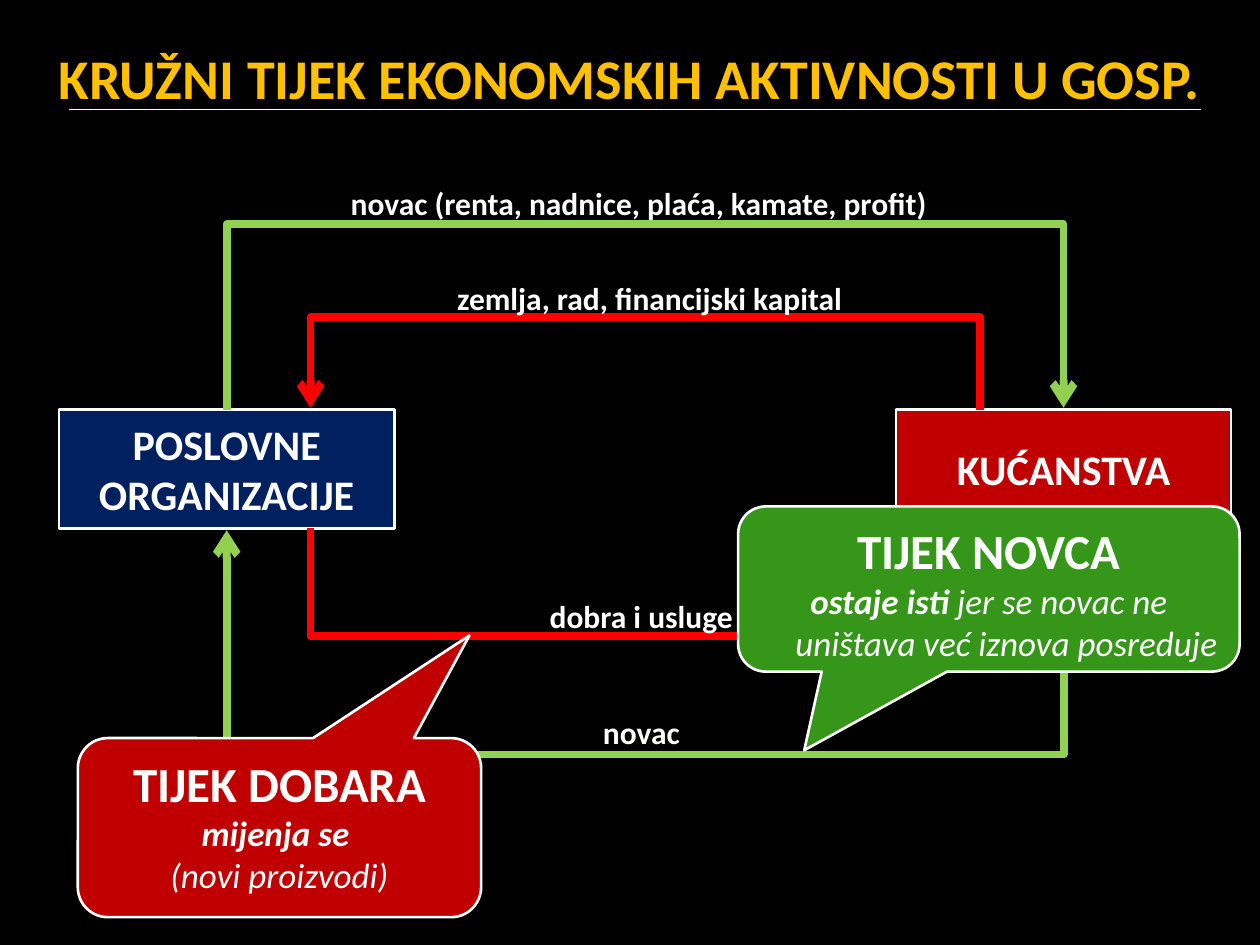
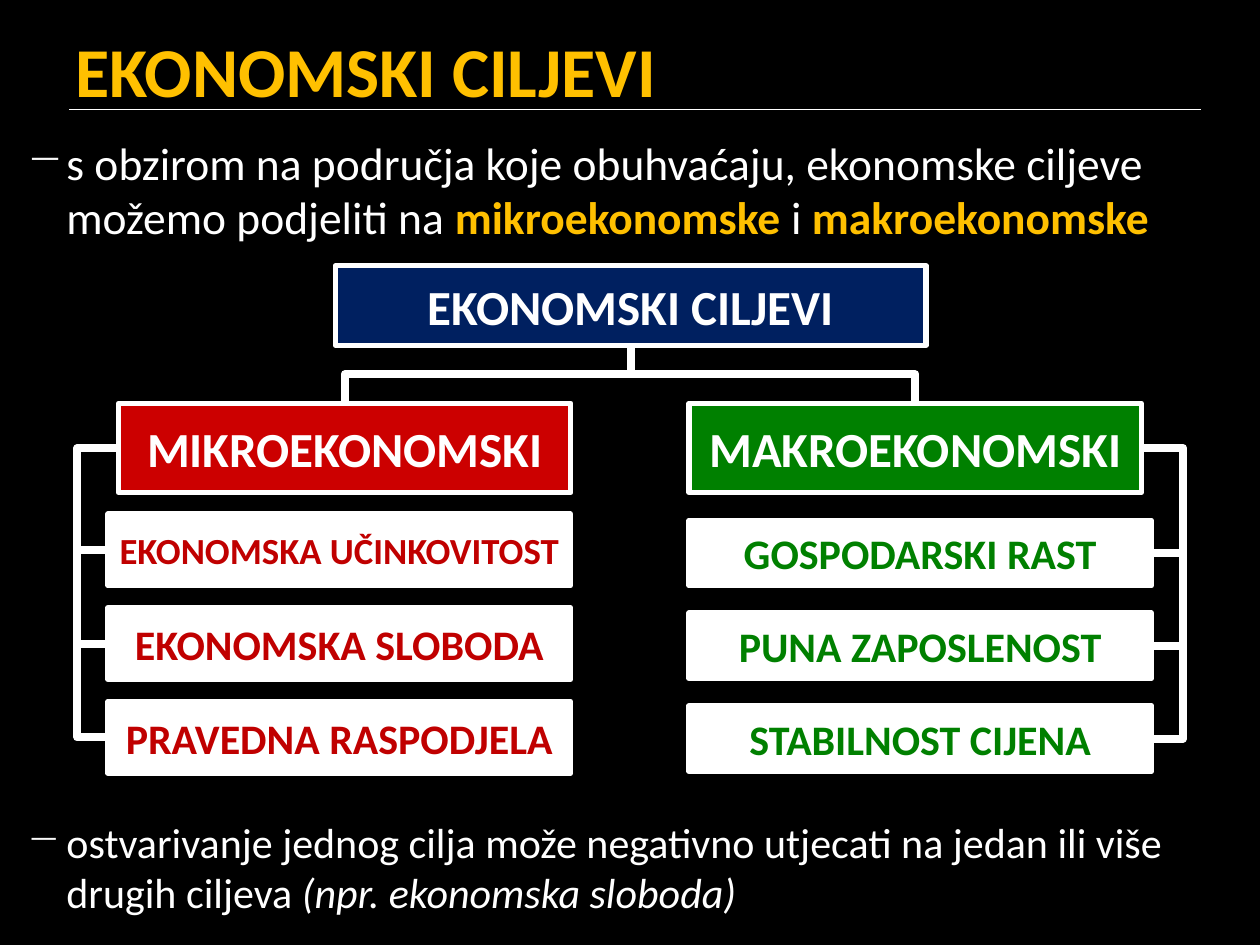
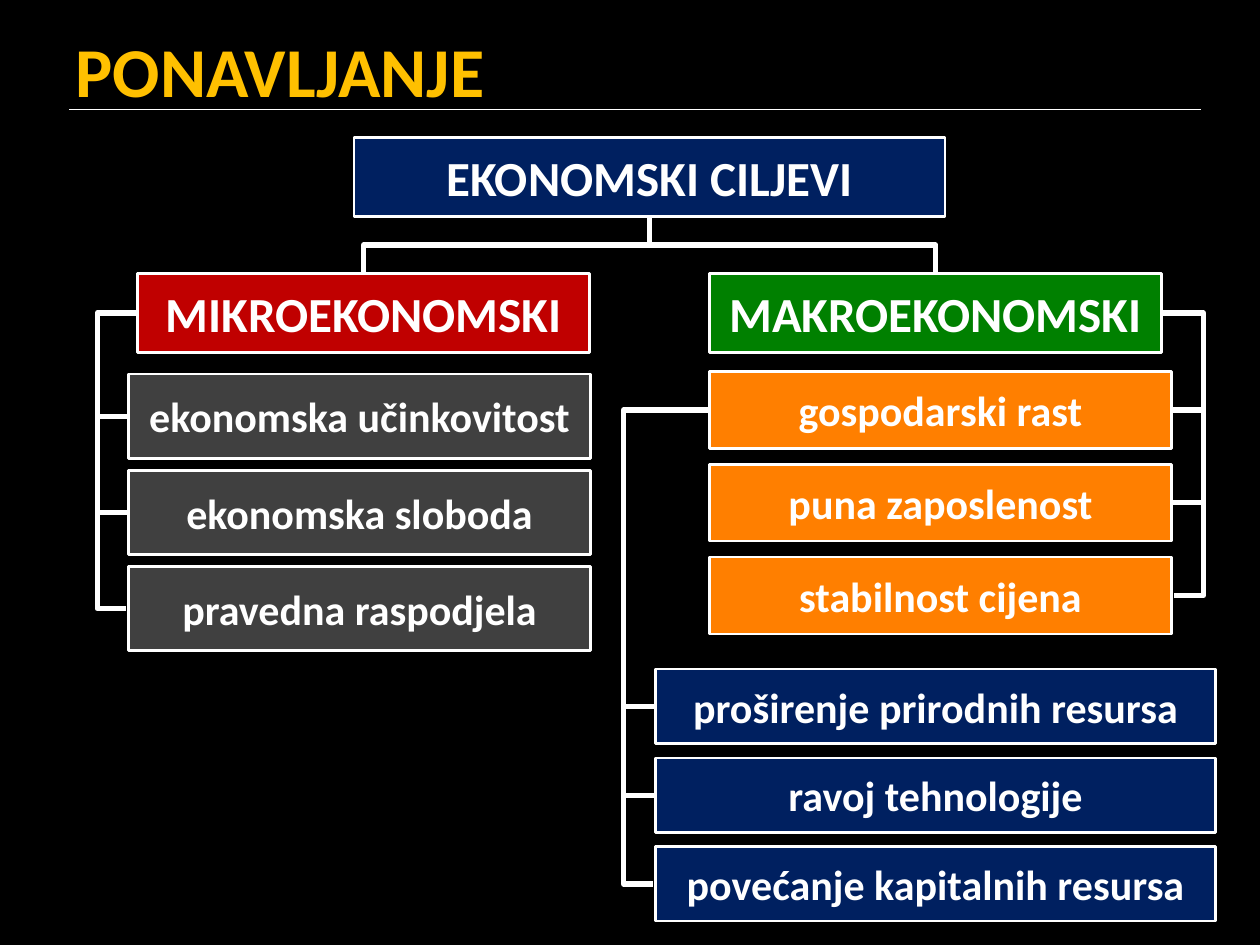
"""Build three slides on the circular flow of the economy and economic goals."""
from lxml.etree import SubElement
from pptx import Presentation
from pptx.dml.color import RGBColor
from pptx.enum.shapes import MSO_CONNECTOR, MSO_SHAPE
from pptx.enum.text import MSO_ANCHOR, MSO_AUTO_SIZE, PP_ALIGN
from pptx.oxml.ns import qn
from pptx.util import Cm, Pt

COLORS = {
    "black": "000000", "white": "FFFFFF", "gold": "FFC000", "navy": "002060",
    "red": "C00000", "bright red": "CC0000", "green": "008000",
    "leaf green": "35961A", "money": "92D050", "goods": "FF0000",
    "gray": "404040", "orange": "FF7F00", "bullet": "F9F9F9",
}
FONT = "Calibri"
TOP, LEFT, BOTTOM, RIGHT = range(4)
NUDGE = Cm(0.04)

FLOW_TITLE = "KRUŽNI TIJEK EKONOMSKIH AKTIVNOSTI U GOSP."
SECTORS = [
    ("POSLOVNE ORGANIZACIJE", (1.19, 8.26, 6.76, 2.39), "navy"),
    ("KUĆANSTVA", (18.06, 8.26, 6.76, 2.39), "red"),
]
FLOWS = [
    ("novac", (12.93, 14.76), "money", "households", BOTTOM, 0, 15.21),
    ("dobra i usluge", (12.93, 12.42), "goods", "firms", BOTTOM, 1.69, 12.83),
    ("zemlja, rad, financijski kapital", (13.1, 6.02), "goods", "households", TOP, 1.69, 6.4),
    ("novac (renta, nadnice, plaća, kamate, profit)", (12.88, 4.09), "money", "firms", TOP, 0, 4.52),
]
HEADLINE = {"size": Pt(28), "bold": True}
STRONG = {"size": Pt(20), "bold": True, "italic": True}
SOFT = {"size": Pt(20), "bold": False, "italic": True}
CALLOUTS = [
    ((1.57, 14.88, 8.13, 3.61), "red", (0.471, -1.073, 0.167),
     [[("TIJEK DOBARA", HEADLINE)], [("mijenja se ", STRONG)], [("(novi proizvodi)", SOFT)]]),
    ((14.88, 10.21, 10.11, 3.33), "leaf green", (-0.368, 0.976, 0.167),
     [[("TIJEK NOVCA", HEADLINE)],
      [("ostaje isti ", STRONG), ("jer se novac ne uništava već iznova posreduje", SOFT)]]),
]

GOALS = "EKONOMSKI CILJEVI"
MICRO = "MIKROEKONOMSKI"
MACRO = "MAKROEKONOMSKI"
KEY_TERM = {"size": Pt(26), "bold": True, "color": "gold"}
PLAIN = {"size": Pt(26)}
NOTES = [
    ((0, 2.59, 25.4, 2.39), [
        ("s obzirom na područja koje obuhvaćaju, ekonomske ciljeve možemo podjeliti na ", PLAIN),
        ("mikroekonomske", KEY_TERM), (" i ", PLAIN), ("makroekonomske", KEY_TERM)]),
    ((0, 16.33, 23.9, 2.39), [
        ("ostvarivanje jednog cilja može negativno utjecati na jedan ili više drugih ciljeva ",
         {"size": Pt(24)}),
        ("(npr. ekonomska sloboda)", {"size": Pt(24), "italic": True})]),
]
GOALS_TREE = {
    "border": 3, "link": 4.5,
    "root": (6.76, 5.36, 11.91, 1.6),
    "branches": [(MICRO, (2.39, 8.13, 9.12, 1.8), "bright red"),
                 (MACRO, (13.89, 8.13, 9.12, 1.8), "green")],
    "groups": [
        {"parent": MICRO, "side": LEFT, "bend": 1.56, "first": (2.18, 10.36, 9.32, 1.45),
         "step": 1.89, "fill": "white", "color": "red",
         "leaves": [("EKONOMSKA UČINKOVITOST", 21), ("EKONOMSKA SLOBODA", 24),
                    ("PRAVEDNA RASPODJELA", 24)]},
        {"parent": MACRO, "side": RIGHT, "bend": 23.85, "first": (13.89, 10.49, 9.32, 1.32),
         "step": 1.87, "fill": "white", "color": "green",
         "leaves": [("GOSPODARSKI RAST", 24), ("PUNA ZAPOSLENOST", 24),
                    ("STABILNOST CIJENA", 24)]},
    ],
}
REVIEW_TREE = {
    "border": 1.5, "link": 3,
    "root": (7.14, 2.77, 11.91, 1.6),
    "branches": [(MICRO, (2.77, 5.51, 9.12, 1.6), "red"),
                 (MACRO, (14.3, 5.51, 9.12, 1.6), "green")],
    "groups": [
        {"parent": MICRO, "side": LEFT, "bend": 1.96, "first": (2.59, 7.54, 9.32, 1.7),
         "step": 1.94, "fill": "gray", "color": "white",
         "leaves": [("ekonomska učinkovitost", 24), ("ekonomska sloboda", 24),
                    ("pravedna raspodjela", 24)]},
        {"parent": MACRO, "side": RIGHT, "bend": 24.26, "first": (14.3, 7.49, 9.32, 1.55),
         "step": 1.87, "fill": "orange", "color": "white",
         "leaves": [("gospodarski rast", 24), ("puna zaposlenost", 24),
                    ("stabilnost cijena", 24)]},
        {"parent": "gospodarski rast", "side": LEFT, "bend": 12.57,
         "first": (13.21, 13.49, 11.3, 1.5), "step": 1.79, "fill": "navy", "color": "white",
         "leaves": [("proširenje prirodnih resursa", 24), ("ravoj tehnologije", 24),
                    ("povećanje kapitalnih resursa", 24)]},
    ],
}


def rgb(color):
    return RGBColor.from_string(COLORS[color])


def add_run(paragraph, text, values):
    run = paragraph.add_run()
    run.text = text
    styles = {"name": FONT, "color": "white", **values}
    run.font.color.rgb = rgb(styles.pop("color"))
    for attribute, value in styles.items():
        setattr(run.font, attribute, value)


def set_frame(frame, **values):
    settings = {"word_wrap": True, "auto_size": MSO_AUTO_SIZE.NONE, **values}
    for attribute, value in settings.items():
        setattr(frame, attribute, value)


def hang(paragraph, margin, indent):
    properties = paragraph._p.get_or_add_pPr()
    properties.set("marL", str(Cm(margin)))
    properties.set("indent", str(Cm(indent)))
    return properties


def add_box(slide, area, fill, border, kind=MSO_SHAPE.RECTANGLE):
    box = slide.shapes.add_shape(kind, *map(Cm, area))
    box.shadow.inherit = False
    box.fill.solid()
    box.fill.fore_color.rgb = rgb(fill)
    box.line.color.rgb = rgb("white")
    box.line.width = Pt(border)
    return box


def add_label_box(slide, text, area, fill, border, size, color="white", inset=0.25):
    box = add_box(slide, area, fill, border)
    set_frame(box.text_frame, vertical_anchor=MSO_ANCHOR.MIDDLE,
              margin_left=Cm(inset), margin_right=Cm(inset))
    paragraph = box.text_frame.paragraphs[0]
    paragraph.alignment = PP_ALIGN.CENTER
    add_run(paragraph, text, {"size": Pt(size), "bold": True, "color": color})
    return box


def style_line(connector, color, weight):
    connector.line.color.rgb = rgb(color)
    connector.line.width = Pt(weight)
    SubElement(connector._element.spPr, qn("a:effectLst"))


def anchor(box, side, shift):
    across = {LEFT: 0, RIGHT: box.width}.get(side, box.width // 2)
    down = {TOP: 0, BOTTOM: box.height}.get(side, box.height // 2)
    return [box.left + across + Cm(shift), box.top + down]


def add_elbow(slide, start, end, bend, color, weight, arrow=False):
    """Join two (box, side, shift) anchors by an elbow whose middle part lies at bend."""
    begin, finish = anchor(*start), anchor(*end)
    vertical = start[1] in (TOP, BOTTOM)
    axis = 1 if vertical else 0
    if begin[axis] == finish[axis]:
        finish[axis] += NUDGE if bend > begin[axis] else -NUDGE
    dx, dy = finish[0] - begin[0], finish[1] - begin[1]
    width, height = (abs(dy), abs(dx)) if vertical else (abs(dx), abs(dy))
    if vertical:
        turn = 90 if (dx < 0) == (dy > 0) else 270
        flips = {"flipH": dx > 0, "flipV": dy < 0}
    else:
        turn = 0 if dx > 0 else 180
        flips = {"flipH": False, "flipV": (dx > 0) != (dy > 0)}

    elbow = slide.shapes.add_connector(MSO_CONNECTOR.ELBOW, *begin, *finish)
    for connect, (box, side, shift) in ((elbow.begin_connect, start), (elbow.end_connect, end)):
        if not shift:
            connect(box, side)
    elbow.left = (begin[0] + finish[0] - width) // 2
    elbow.top = (begin[1] + finish[1] - height) // 2
    elbow.width, elbow.height = width, height
    frame = elbow._element.spPr.find(qn("a:xfrm"))
    frame.set("rot", str(turn * 60000))
    for flip, active in flips.items():
        frame.set(flip, str(int(active)))
    ratio = (bend - begin[axis]) / (finish[axis] - begin[axis])
    guides = elbow._element.spPr.find(qn("a:prstGeom")).find(qn("a:avLst"))
    SubElement(guides, qn("a:gd"), name="adj1", fmla=f"val {round(ratio * 100000)}")
    style_line(elbow, color, weight)
    if arrow:
        SubElement(elbow.line._get_or_add_ln(), qn("a:tailEnd"), type="arrow")


def add_slide(deck, heading, area=(1.27, 0.2, 23.34, 2.41), size=40,
              align=PP_ALIGN.LEFT, place=MSO_ANCHOR.MIDDLE):
    slide = deck.slides.add_slide(deck.slide_layouts[5])
    title = slide.shapes.title
    title.left, title.top, title.width, title.height = map(Cm, area)
    set_frame(title.text_frame, vertical_anchor=place)
    paragraph = title.text_frame.paragraphs[0]
    paragraph.alignment = align
    add_run(paragraph, heading, {"size": Pt(size), "bold": True, "color": "gold"})
    rule = slide.shapes.add_connector(
        MSO_CONNECTOR.STRAIGHT, Cm(1.4), Cm(2.21), Cm(24.21), Cm(2.21))
    style_line(rule, "white", 1)
    return slide


def add_flow_label(slide, text, center):
    width, height = 12.24, 1.02
    label = slide.shapes.add_textbox(
        Cm(center[0] - width / 2), Cm(center[1] - height / 2), Cm(width), Cm(height))
    set_frame(label.text_frame, word_wrap=False)
    paragraph = label.text_frame.paragraphs[0]
    paragraph.alignment = PP_ALIGN.CENTER
    add_run(paragraph, text, {"size": Pt(18), "bold": True})


def add_callout(slide, area, fill, adjustments, lines):
    callout = add_box(slide, area, fill, 1.5, MSO_SHAPE.ROUNDED_RECTANGULAR_CALLOUT)
    for index, value in enumerate(adjustments):
        callout.adjustments[index] = value
    frame = callout.text_frame
    set_frame(frame, vertical_anchor=MSO_ANCHOR.TOP)
    for index, runs in enumerate(lines):
        paragraph = frame.add_paragraph() if index else frame.paragraphs[0]
        paragraph.alignment = PP_ALIGN.CENTER
        hang(paragraph, 0.71, -0.71)
        for text, values in runs:
            add_run(paragraph, text, values)


def add_note(slide, area, runs):
    note = slide.shapes.add_textbox(*map(Cm, area))
    set_frame(note.text_frame)
    paragraph = note.text_frame.paragraphs[0]
    properties = hang(paragraph, 1.09, -0.79)
    tint = SubElement(properties, qn("a:buClr"))
    SubElement(tint, qn("a:srgbClr"), val=COLORS["bullet"])
    SubElement(properties, qn("a:buChar"), char="−")
    for text, values in runs:
        add_run(paragraph, text, values)


def add_tree(slide, tree):
    border, weight = tree["border"], tree["link"]
    root = add_label_box(slide, GOALS, tree["root"], "navy", border, 28)
    boxes = {}
    for text, area, fill in tree["branches"]:
        boxes[text] = add_label_box(slide, text, area, fill, border, 28)
        middle = (root.top + root.height + boxes[text].top) // 2
        add_elbow(slide, (root, BOTTOM, 0), (boxes[text], TOP, 0), middle, "white", weight)
    for group in tree["groups"]:
        left, top, width, height = group["first"]
        previous, side = boxes[group["parent"]], group["side"]
        for row, (text, size) in enumerate(group["leaves"]):
            area = (left, top + row * group["step"], width, height)
            leaf = add_label_box(slide, text, area, group["fill"], border, size,
                                 group["color"], inset=0.1)
            add_elbow(slide, (previous, side, 0), (leaf, side, 0),
                      Cm(group["bend"]), "white", weight)
            boxes[text] = previous = leaf


def add_flow_slide(deck):
    slide = add_slide(deck, FLOW_TITLE, (0, 0.74, 25.4, 1.4), 32,
                      PP_ALIGN.CENTER, MSO_ANCHOR.TOP)
    firms, households = [add_label_box(slide, text, area, fill, 1.5, 24)
                         for text, area, fill in SECTORS]
    for text, center, color, source, side, shift, bend in FLOWS:
        ends = [(firms, side, shift), (households, side, -shift)]
        if source == "households":
            ends.reverse()
        add_elbow(slide, *ends, Cm(bend), color, 4.5, arrow=True)
        add_flow_label(slide, text, center)
    for callout in CALLOUTS:
        add_callout(slide, *callout)


def main():
    deck = Presentation()
    deck.slide_width, deck.slide_height = Cm(25.4), Cm(19.05)
    backdrop = deck.slide_master.background.fill
    backdrop.solid()
    backdrop.fore_color.rgb = rgb("black")
    add_flow_slide(deck)
    goals = add_slide(deck, GOALS)
    for note in NOTES:
        add_note(goals, *note)
    add_tree(goals, GOALS_TREE)
    add_tree(add_slide(deck, "PONAVLJANJE"), REVIEW_TREE)
    deck.save("out.pptx")


if __name__ == "__main__":
    main()
